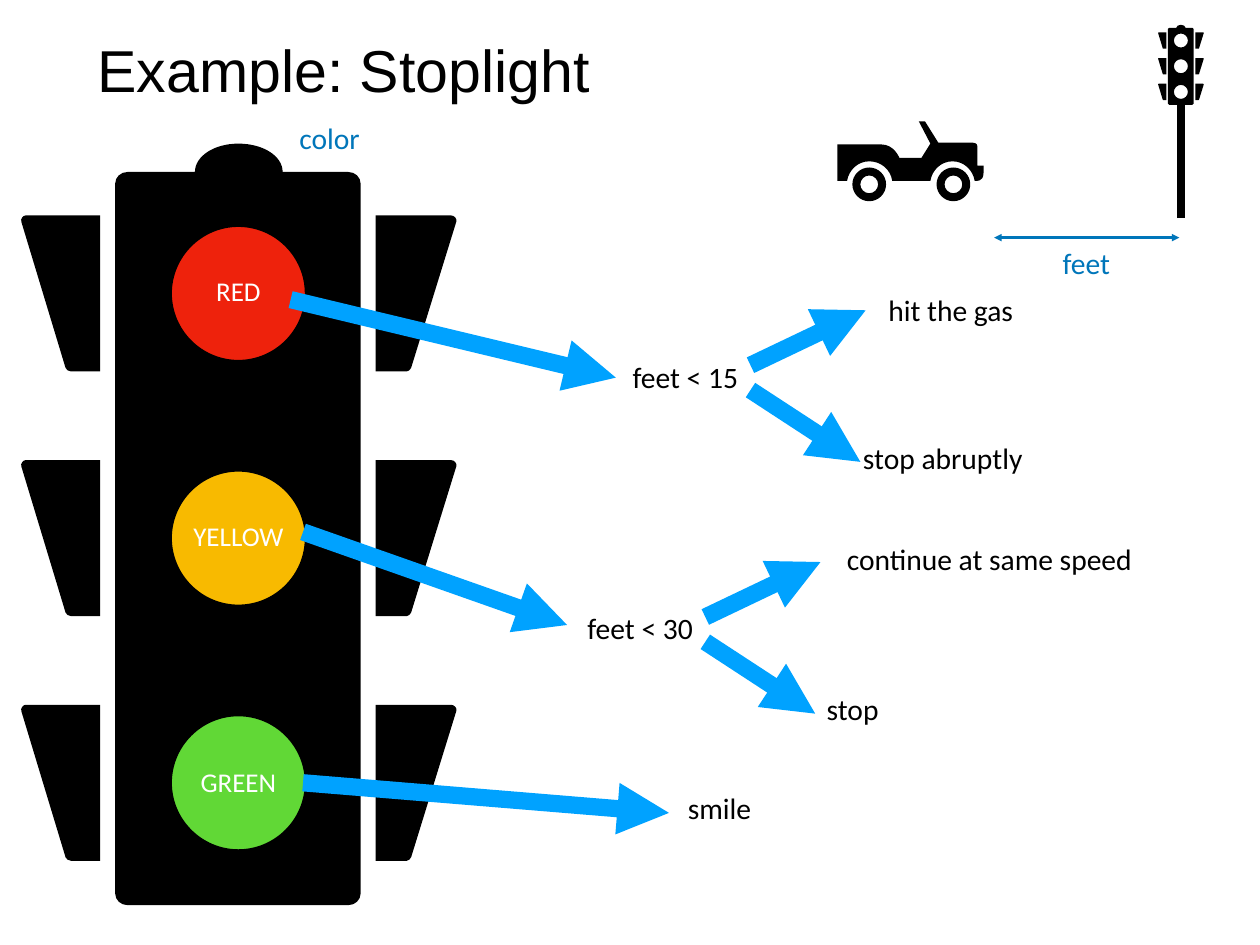
from dataclasses import dataclass

from lxml.etree import SubElement
from pptx import Presentation
from pptx.dml.color import RGBColor
from pptx.enum.shapes import MSO_CONNECTOR, MSO_SHAPE
from pptx.enum.text import MSO_ANCHOR, PP_ALIGN
from pptx.oxml.ns import qn
from pptx.util import Pt

PX = 9144  # 100 px to the inch
K = 0.55  # handle length of a quarter circle
QUARTERS = [(0, -1), (K, -1, 1, -K, 1, 0), (1, K, K, 1, 0, 1), (-K, 1, -1, K, -1, 0), (-1, -K, -K, -1, 0, -1)]


@dataclass(frozen=True)
class Theme:
    black: RGBColor = RGBColor(0x00, 0x00, 0x00)
    white: RGBColor = RGBColor(0xFF, 0xFF, 0xFF)
    red: RGBColor = RGBColor(0xEE, 0x22, 0x0C)
    yellow: RGBColor = RGBColor(0xF8, 0xBA, 0x00)
    green: RGBColor = RGBColor(0x61, 0xD8, 0x36)
    feature: RGBColor = RGBColor(0x00, 0x76, 0xBA)
    branch: RGBColor = RGBColor(0x00, 0xA2, 0xFF)
    title_font: str = "Arial"
    body_font: str = "Calibri"
    title_size: int = 48
    label_size: int = 24
    lamp_size: int = 22


theme = Theme()
prs = Presentation()
prs.slide_width, prs.slide_height = 1422 * PX, 1066 * PX
slide = prs.slides.add_slide(prs.slide_layouts[6])


def write(shape, words, size, color, align=PP_ALIGN.CENTER, font=theme.body_font, wrap=False):
    frame = shape.text_frame
    frame.word_wrap = wrap
    frame.vertical_anchor = MSO_ANCHOR.MIDDLE
    frame.margin_left = frame.margin_right = frame.margin_top = frame.margin_bottom = 6 * PX
    paragraph = frame.paragraphs[0]
    paragraph.alignment = align
    run = paragraph.add_run()
    run.text = words
    run.font.name, run.font.size, run.font.color.rgb = font, Pt(size), color


def silhouette(contours, circles, left, top, scale=1):
    """Fill contours of points (x, y) and cubic curves (x1, y1, x2, y2, x, y), and circles (x, y, radius)."""
    rings = [[tuple(ring[i % 2] + ring[2] * v for i, v in enumerate(quarter)) for quarter in QUARTERS]
             for ring in circles]
    outlines = [[tuple(round(((left, top)[i % 2] + v * scale) * PX) for i, v in enumerate(piece))
                 for piece in contour] for contour in contours + rings]
    builder = slide.shapes.build_freeform(*outlines[0][0])
    for index, outline in enumerate(outlines):
        if index:
            builder.move_to(*outline[0])
        builder.add_line_segments([piece[-2:] for piece in outline[1:]], close=True)
    shape = builder.convert_to_shape()
    # Turn the straight segments that stand for curves into cubic ones
    pieces = [piece for outline in outlines for piece in outline[1:]]
    for segment, piece in zip(list(shape._element.iter(qn("a:lnTo"))), pieces):
        if len(piece) == 6:
            segment.clear()
            segment.tag = qn("a:cubicBezTo")
            for x, y in zip(piece[::2], piece[1::2]):
                SubElement(segment, qn("a:pt"), x=str(x - shape.left), y=str(y - shape.top))
    shape.shadow.inherit = False
    shape.fill.solid()
    shape.fill.fore_color.rgb = theme.black
    shape.line.fill.background()


# Coloured panes that show through the lamp holes
lamps = [("RED", theme.red), ("YELLOW", theme.yellow), ("GREEN", theme.green)]
for row, (lamp, color) in enumerate(lamps):
    pane = slide.shapes.add_shape(MSO_SHAPE.RECTANGLE, 170 * PX, (235 + 277 * row) * PX, 198 * PX, 185 * PX)
    pane.shadow.inherit = False
    pane.fill.solid()
    pane.fill.fore_color.rgb = color
    pane.line.fill.background()
    write(pane, lamp, theme.lamp_size, theme.white)

title = slide.shapes.add_textbox(104 * PX, 28 * PX, 1214 * PX, 99 * PX)
write(title, "Example: Stoplight", theme.title_size, theme.black, PP_ALIGN.LEFT, theme.title_font, wrap=True)

# Stoplight, large and small
stoplight = [[
    (245, 0), (218, 0, 196, 14, 196, 32), (120, 32), (112, 32, 106, 38, 106, 45),
    (106, 846), (106, 853, 112, 859, 120, 859), (369, 859), (377, 859, 383, 853, 383, 846),
    (383, 45), (383, 38, 377, 32, 369, 32), (295, 32), (295, 14, 273, 0, 245, 0),
]]
shade_tops = range(81, 634, 276)
for y in shade_tops:
    stoplight += [
        [(400, y), (400, y + 176), (435, y + 176), (437, y + 176, 439, y + 174, 440, y + 172),
         (491, y + 7), (492, y + 4, 489, y, 485, y)],
        [(89, y), (89, y + 176), (56, y + 176), (53, y + 176, 51, y + 174, 50, y + 172),
         (0, y + 7), (-1, y + 4, 2, y, 5, y)],
    ]
lamp_holes = [(245, y + 88, 75) for y in shade_tops]
for left, top, scale in [(24, 162, 1), (1307, 28, 0.105)]:
    silhouette(stoplight, lamp_holes, left, top, scale)

jeep = [[
    (92, 0), (105, 25), (95, 41), (70, 41), (70, 41, 64, 26, 50, 26), (0, 26), (0, 67), (11, 67),
    (13, 55, 23, 45, 36, 45), (49, 45, 60, 54, 62, 67), (105, 67),
    (107, 55, 117, 45, 130, 45), (143, 45, 153, 55, 155, 67), (156, 67, 165, 69, 165, 58),
    (165, 50), (158, 50), (158, 28), (158, 28, 158, 24, 153, 24), (114, 24), (99, 0),
]]
wheels = [(axle, 71, radius) for axle in (36, 131) for radius in (19, 10)]
silhouette(jeep, wheels, 945, 137)

# Lines: start, end, colour, width in points, arrowheads
lines = [
    (1333, 246, 1333, 119, theme.black, 6, ()),
    (1122, 268, 1331, 268, theme.feature, 2, ("headEnd", "tailEnd")),
]
branches = [(328, 338, 695, 426), (342, 600, 640, 705), (342, 883, 755, 917)]
for x, y in [(847, 426), (796, 710)]:
    branches += [(x, y + 14, x + 124, y + 95), (x, y - 14, x + 130, y - 76)]
lines += [(*ends, theme.branch, 14, ("tailEnd",)) for ends in branches]
for x1, y1, x2, y2, color, width, heads in lines:
    line = slide.shapes.add_connector(MSO_CONNECTOR.STRAIGHT, x1 * PX, y1 * PX, x2 * PX, y2 * PX)
    line.line.color.rgb = color
    line.line.width = Pt(width)
    properties = line._element.spPr
    for head in heads:
        SubElement(properties.find(qn("a:ln")), qn(f"a:{head}"), type="triangle")
    SubElement(properties, qn("a:effectLst"))

labels = [
    ("feet", 1190, 271, 72, theme.feature, PP_ALIGN.CENTER),
    ("color", 327, 130, 90, theme.feature, PP_ALIGN.CENTER),
    ("feet < 15", 700, 399, 147, theme.black, PP_ALIGN.CENTER),
    ("hit the gas", 985, 324, 176, theme.black, PP_ALIGN.CENTER),
    ("stop abruptly", 968, 491, 220, theme.black, PP_ALIGN.LEFT),
    ("feet < 30", 649, 683, 147, theme.black, PP_ALIGN.CENTER),
    ("continue at same speed", 924, 605, 385, theme.black, PP_ALIGN.CENTER),
    ("stop", 927, 774, 80, theme.black, PP_ALIGN.LEFT),
    ("smile", 765, 886, 94, theme.black, PP_ALIGN.CENTER),
]
for words, left, top, width, color, align in labels:
    label = slide.shapes.add_textbox(left * PX, top * PX, width * PX, 51 * PX)
    write(label, words, theme.label_size, color, align)

prs.save("out.pptx")
